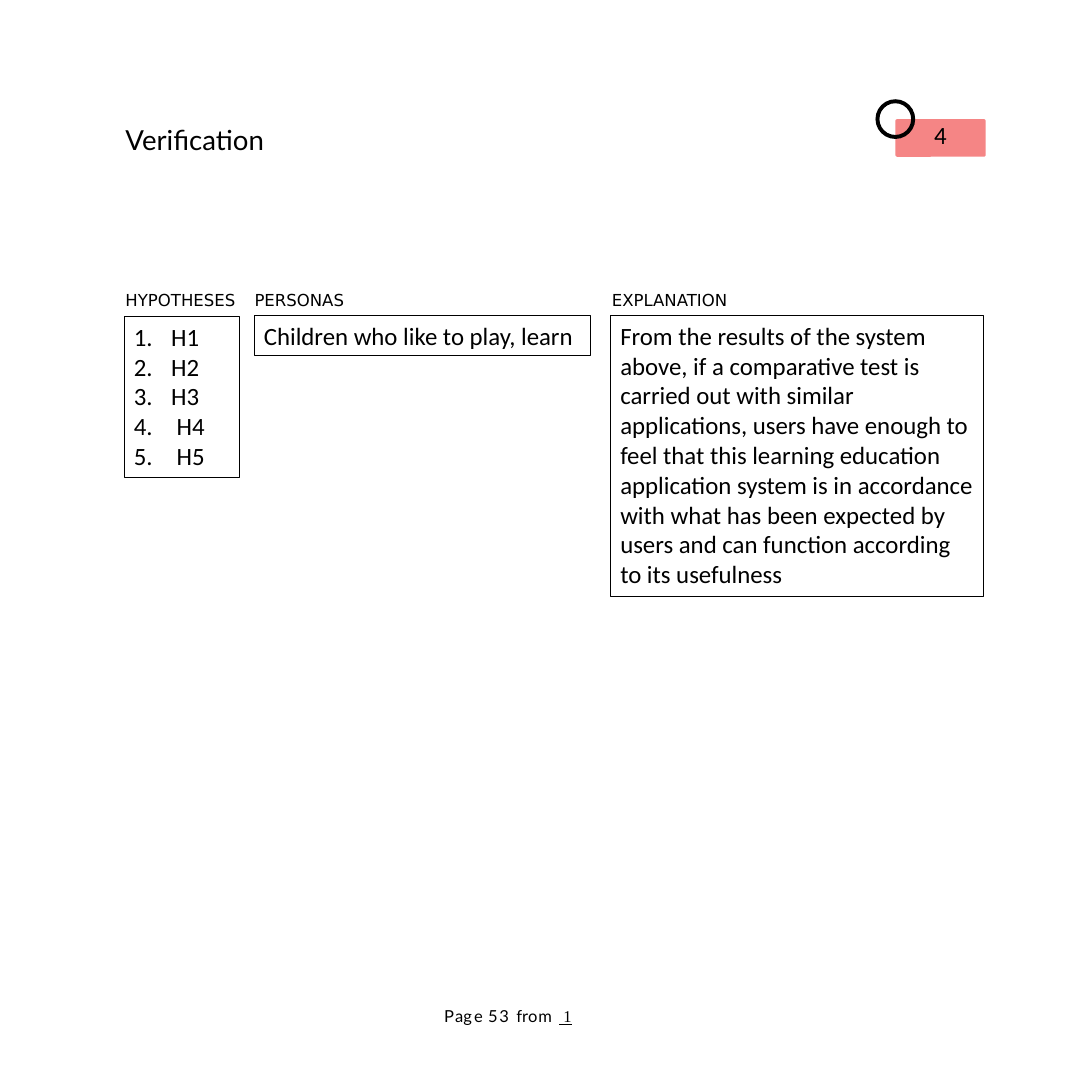
from lxml import etree
from pptx import Presentation
from pptx.dml.color import RGBColor
from pptx.enum.shapes import MSO_SHAPE
from pptx.enum.text import MSO_ANCHOR, MSO_AUTO_SIZE, PP_ALIGN
from pptx.oxml.ns import qn
from pptx.util import Pt

TOP = MSO_ANCHOR.TOP
FIXED = MSO_AUTO_SIZE.NONE
LEFT, CENTER = PP_ALIGN.LEFT, PP_ALIGN.CENTER
ROUNDED, RING = MSO_SHAPE.ROUNDED_RECTANGLE, MSO_SHAPE.DONUT

BLACK, CORAL = "000000", "F58585"
TITLE = ("Verification", (90, 88.5, 360, 25.2))
BADGE = ("4", (649.4, 86.4, 65.5, 27.3))
RING_BOX = (635, 72, 28.8, 28.8)
LABELS = [
    ("HYPOTHESES", (90, 209.5, 95, 15.8)),
    ("PERSONAS", (183.6, 209, 120, 15.8)),
    ("EXPLANATION", (442.8, 209.5, 90.7, 15.8)),
]
PANELS = [
    (["H1", "H2", "H3", " H4", " H5"], True, (90, 229.7, 83.5, 116.6)),
    (["Children who like to play, learn"], False, (184.3, 229, 244.1, 28.8)),
    (["From the results of the system above, if a comparative test is carried out "
      "with similar applications, users have enough to feel that this learning "
      "education application system is in accordance with what has been expected "
      "by users and can function according to its usefulness"],
     False, (442.8, 229, 270.7, 203.8)),
]
FOOTER_BOX = (321.1, 730.1, 101.5, 14.4)
FOOTER = [("P", 70), ("a", 20), ("g", 140), ("e ", 40), ("53 ", 120),
          ("fr", -10), ("o", 70), ("m ", 110)]
PAGE_TOTAL = " 1\t"


def color(value):
    return RGBColor.from_string(value)


def points(box):
    return [Pt(value) for value in box]


def prepare(shape, margins):
    frame = shape.text_frame
    frame.word_wrap = True
    frame.auto_size = FIXED
    frame.vertical_anchor = TOP
    frame.margin_left, frame.margin_top, frame.margin_right, frame.margin_bottom = points(margins)
    return frame


def add_text(paragraph, text, font, size, align=LEFT):
    paragraph.alignment = align
    run = paragraph.add_run()
    run.text = text
    run.font.name = font
    run.font.size = Pt(size)
    run.font.color.rgb = color(BLACK)
    return run


def number(paragraph):
    properties = paragraph._p.get_or_add_pPr()
    properties.set("marL", str(Pt(27)))
    properties.set("indent", str(Pt(-27)))
    etree.SubElement(properties, qn("a:buFont"), typeface="+mj-lt")
    etree.SubElement(properties, qn("a:buAutoNum"), type="arabicPeriod")


def add_preset(slide, preset, box, fill, adjustment):
    shape = slide.shapes.add_shape(preset, *points(box))
    shape.shadow.inherit = False
    shape.adjustments[0] = adjustment
    shape.fill.solid()
    shape.fill.fore_color.rgb = color(fill)
    shape.line.fill.background()
    return shape


def add_panel(slide, lines, numbered, box):
    panel = slide.shapes.add_textbox(*points(box))
    panel.line.color.rgb = color(BLACK)
    panel.line.width = Pt(0.75)
    frame = prepare(panel, (7.2, 3.6, 7.2, 3.6))
    for index, line in enumerate(lines):
        paragraph = frame.add_paragraph() if index else frame.paragraphs[0]
        if numbered:
            number(paragraph)
        add_text(paragraph, line, "Calibri", 18)


def add_footer(slide):
    footer = slide.shapes.add_textbox(*points(FOOTER_BOX))
    paragraph = prepare(footer, (0, 0, 0, 0)).paragraphs[0]
    properties = paragraph._p.get_or_add_pPr()
    properties.set("marL", str(Pt(1)))
    tabs = etree.SubElement(properties, qn("a:tabLst"))
    etree.SubElement(tabs, qn("a:tab"), pos=str(Pt(97.2)), algn="l")
    paragraph.line_spacing = Pt(14.1)
    for text, spacing in FOOTER:
        run = add_text(paragraph, text, "Lato", 12)
        run.font._element.set("spc", str(spacing))
    add_text(paragraph, PAGE_TOTAL, "Times New Roman", 12).font.underline = True


def main():
    presentation = Presentation()
    presentation.slide_width = presentation.slide_height = Pt(792)
    slide = presentation.slides.add_slide(presentation.slide_layouts[5])

    text, box = TITLE
    title = slide.shapes.title
    title.left, title.top, title.width, title.height = points(box)
    add_text(prepare(title, (1, 1, 0, 0)).paragraphs[0], text, "Lato", 20)

    text, box = BADGE
    badge = add_preset(slide, ROUNDED, box, CORAL, 0.05)
    add_text(prepare(badge, (0, 0, 0, 0)).paragraphs[0], text, "Calibri", 18, CENTER)
    add_preset(slide, RING, RING_BOX, BLACK, 0.1)

    for text, box in LABELS:
        label = slide.shapes.add_textbox(*points(box))
        add_text(prepare(label, (1, 1, 0, 0)).paragraphs[0], text, "DejaVu Sans", 12)
    for lines, numbered, box in PANELS:
        add_panel(slide, lines, numbered, box)
    add_footer(slide)
    presentation.save("out.pptx")


if __name__ == "__main__":
    main()
